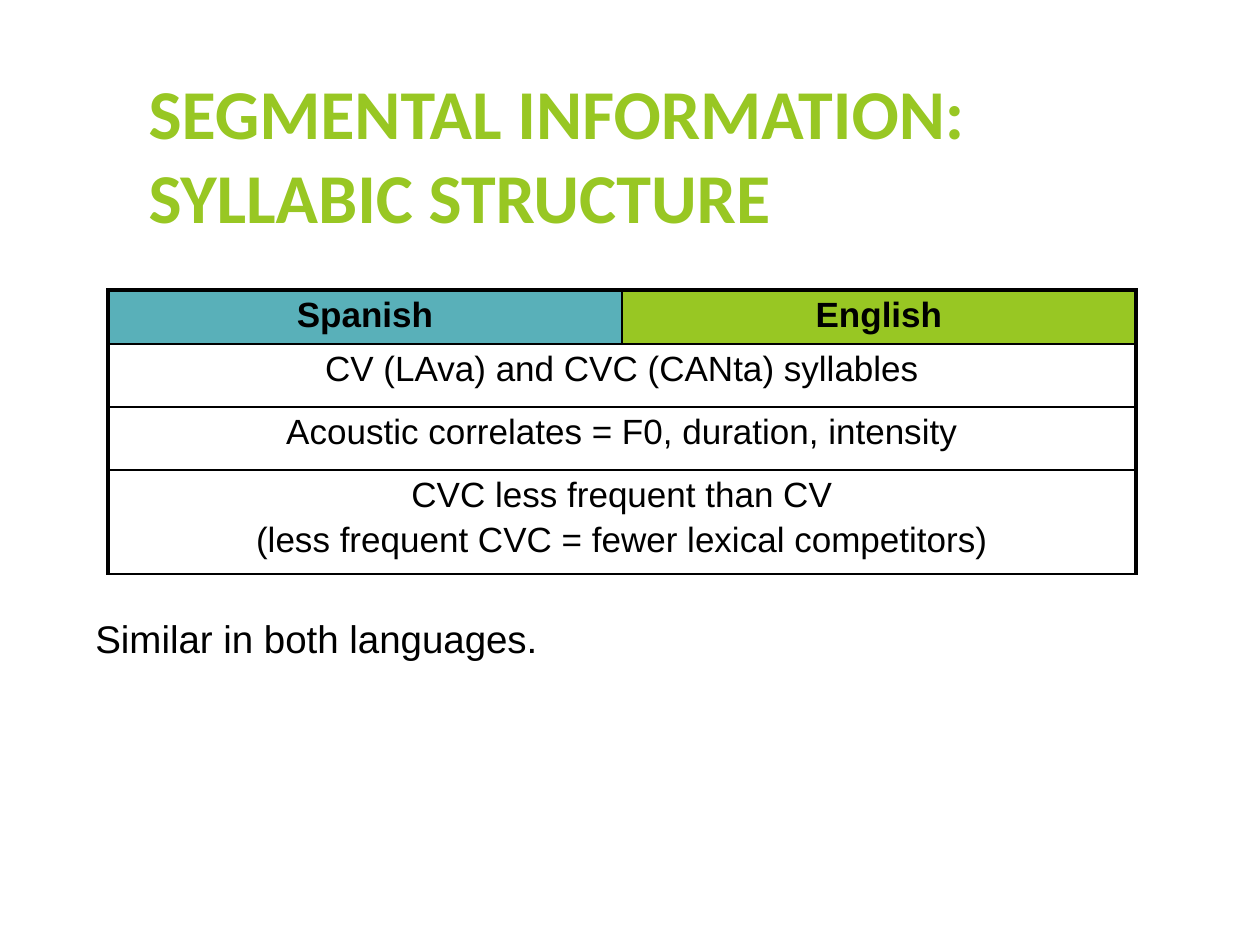
from lxml import etree
from pptx import Presentation
from pptx.dml.color import RGBColor
from pptx.enum.text import MSO_ANCHOR, MSO_AUTO_SIZE, PP_ALIGN
from pptx.oxml.ns import qn
from pptx.util import Emu, Pt

LEFT, CENTER = PP_ALIGN.LEFT, PP_ALIGN.CENTER
TOP = MSO_ANCHOR.TOP
NO_FIT = MSO_AUTO_SIZE.NONE
EMU_PER_PX = 914400 / 126
TITLE_ONLY = 5
BLACK, WHITE, TEAL, GREEN = "000000", "FFFFFF", "59B0B9", "98C723"
THIN, THICK = 1, 2.25


def px(length):
    return Emu(round(length * EMU_PER_PX))


def color(code):
    return RGBColor.from_string(code)


class SlideBuilder:
    """Holds the text style and the current slide, and adds elements to it."""

    def __init__(self, slide, font="Arial", ink=BLACK):
        self.slide = slide
        self.font = font
        self.ink = ink

    def set_text(self, frame, lines, size, align=LEFT, font=None, ink=None, bold=False, gap=0):
        frame.text = "\n".join(lines)
        for index, paragraph in enumerate(frame.paragraphs):
            paragraph.alignment = align
            paragraph.space_before = Pt(gap if index else 0)
            paragraph.font.name = font or self.font
            paragraph.font.size = Pt(size)
            paragraph.font.bold = bold
            paragraph.font.color.rgb = color(ink or self.ink)

    def title(self, lines, left, top, width, height):
        heading = self.slide.shapes.title
        heading.left, heading.top = px(left), px(top)
        heading.width, heading.height = px(width), px(height)
        frame = heading.text_frame
        frame.auto_size = NO_FIT
        frame.vertical_anchor = TOP
        self.set_text(frame, lines, 40, font="Calibri", ink=GREEN, bold=True)

    def note(self, text, left, top, width, height):
        box = self.slide.shapes.add_textbox(px(left), px(top), px(width), px(height))
        box.text_frame.word_wrap = True
        self.set_text(box.text_frame, [text], 22)

    def border(self, cell, edge, width):
        properties = cell._tc.get_or_add_tcPr()
        line = etree.SubElement(properties, qn(f"a:ln{edge}"), w=str(Pt(width)))
        fill = etree.SubElement(line, qn("a:solidFill"))
        etree.SubElement(fill, qn("a:srgbClr"), val=self.ink)

    def table(self, headers, findings, left, top, column_width, row_heights):
        columns = len(headers)
        table = self.slide.shapes.add_table(
            len(row_heights), columns, px(left), px(top),
            px(column_width * columns), px(sum(row_heights))).table
        for column in table.columns:
            column.width = px(column_width)
        for row, height in zip(table.rows, row_heights):
            row.height = px(height)

        for r in range(len(row_heights)):
            for c in range(columns):
                cell = table.cell(r, c)
                self.border(cell, "L", THICK if c == 0 else THIN)
                self.border(cell, "R", THICK if c == columns - 1 or r else THIN)
                self.border(cell, "T", THIN if r else THICK)
                self.border(cell, "B", THIN)
                cell.fill.solid()
                cell.fill.fore_color.rgb = color(WHITE)

        for c, (language, shade) in enumerate(headers):
            cell = table.cell(0, c)
            cell.fill.fore_color.rgb = color(shade)
            self.set_text(cell.text_frame, [language], 20, CENTER, bold=True)
        for r, lines in enumerate(findings, start=1):
            cell = table.cell(r, 0)
            cell.merge(table.cell(r, columns - 1))
            self.set_text(cell.text_frame, lines, 20, CENTER, gap=3.4)


def main():
    deck = Presentation()
    deck.slide_width, deck.slide_height = px(1260), px(945)
    builder = SlideBuilder(deck.slides.add_slide(deck.slide_layouts[TITLE_ONLY]))
    builder.title(["SEGMENTAL INFORMATION:", "SYLLABIC STRUCTURE"], 136, 63, 1071, 360)
    builder.table(
        [("Spanish", TEAL), ("English", GREEN)],
        [
            ["CV (LAva) and CVC (CANta) syllables"],
            ["Acoustic correlates = F0, duration, intensity"],
            ["CVC less frequent than CV", "(less frequent CVC = fewer lexical competitors)"],
        ],
        108, 290, 514, [54, 63, 63, 104])
    builder.note("Similar in both languages.", 83, 609, 1106, 59)
    deck.save("out.pptx")


if __name__ == "__main__":
    main()
